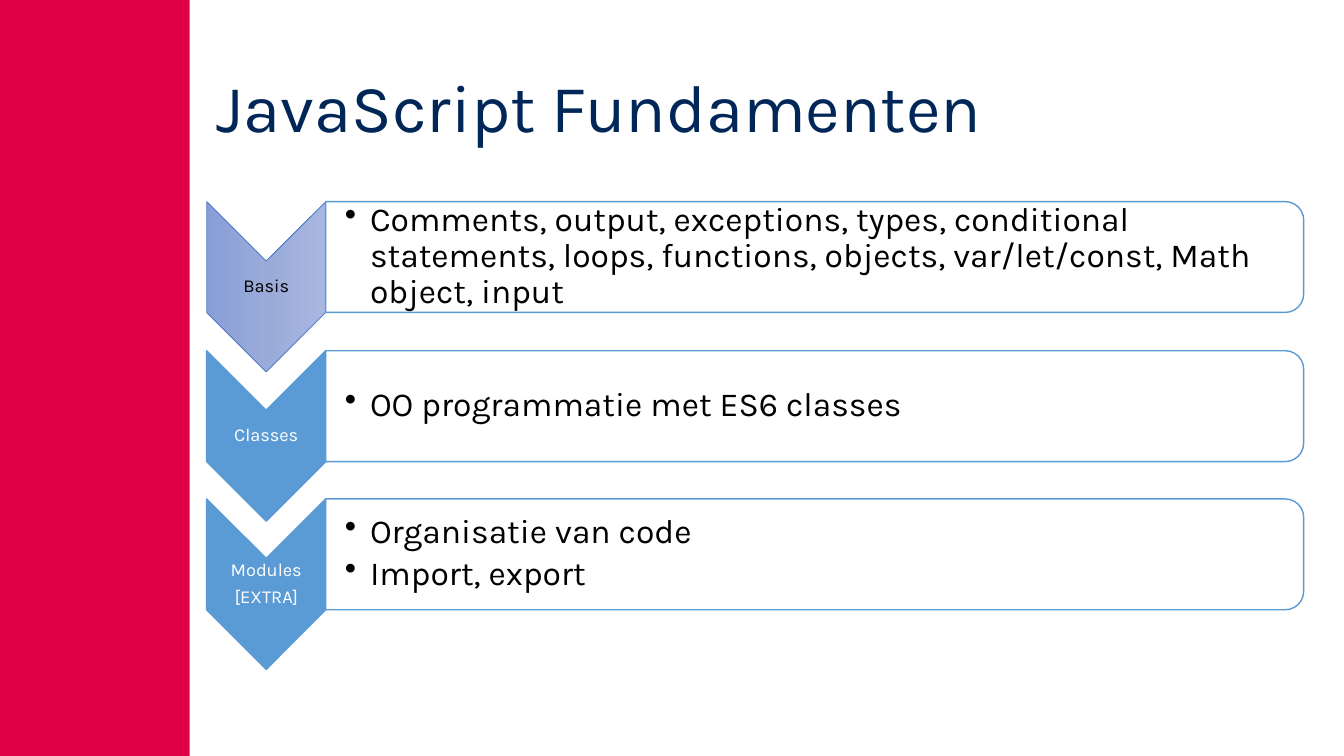
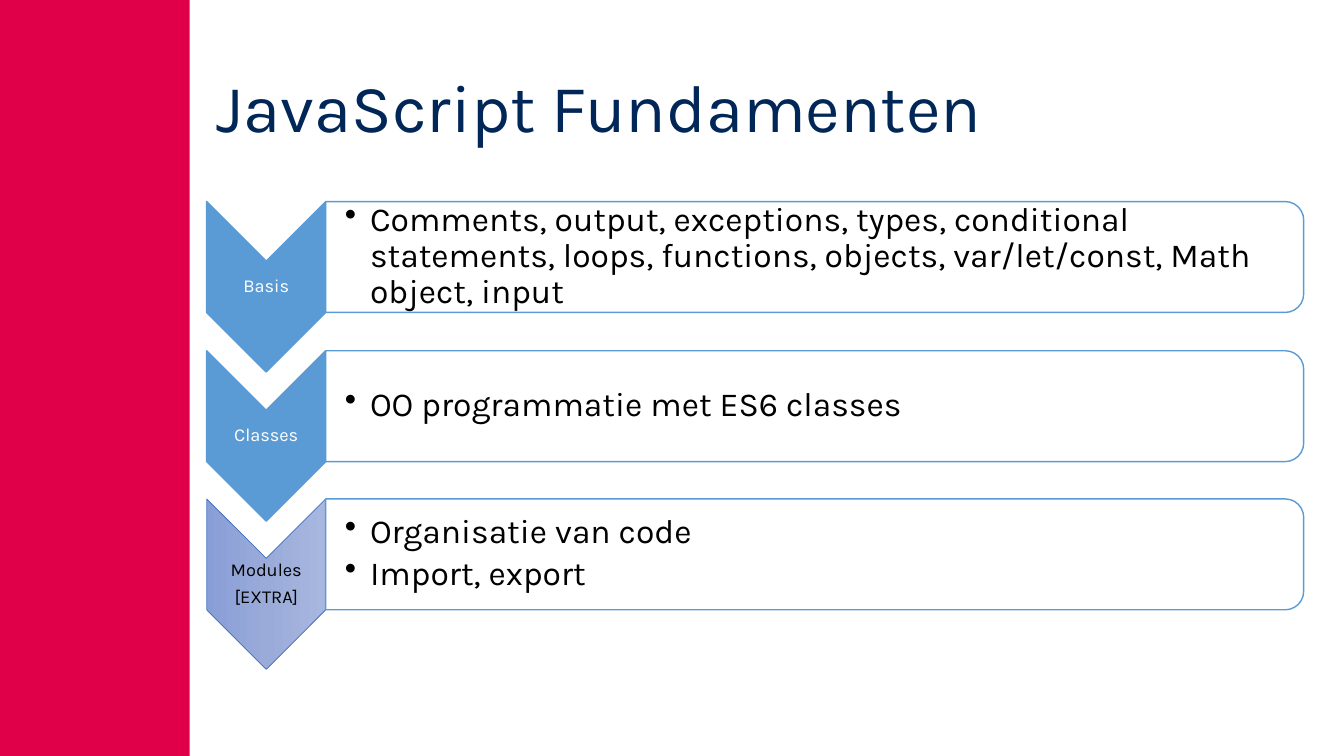
from copy import deepcopy

from lxml import etree
from pptx import Presentation
from pptx.dml.color import RGBColor
from pptx.enum.shapes import MSO_SHAPE
from pptx.enum.text import MSO_ANCHOR, PP_ALIGN
from pptx.oxml.ns import qn
from pptx.util import Pt

RECTANGLE, CHEVRON = MSO_SHAPE.RECTANGLE, MSO_SHAPE.CHEVRON
PANEL = MSO_SHAPE.ROUND_2_SAME_RECTANGLE
LEFT, CENTER, MIDDLE = PP_ALIGN.LEFT, PP_ALIGN.CENTER, MSO_ANCHOR.MIDDLE

# Content
TITLE = "JavaScript Fundamenten"
TOPICS = [
    (["Basis"], ["Comments, output, exceptions, types, conditional statements, "
                 "loops, functions, objects, var/let/const, Math object, input"]),
    (["Classes"], ["OO programmatie met ES6 classes"]),
    (["Modules", "[EXTRA]"], ["Organisatie van code", "Import, export"]),
]
HIGHLIGHTED = [0, 2]  # the topic that stands out on each slide

# Shared look; 100 px to the inch
SCALE = 9144
SLIDE_SIZE = (1333, 750)
BAND_BOX = (0, 0, 188, 750)
TITLE_BOX = (205, 40, 1088, 140)
ROWS_TOP, ROW_PITCH = 200, 147.5
CHEVRON_LEFT, CHEVRON_WIDTH, CHEVRON_HEIGHT = 205, 118, 169
PANEL_LEFT, PANEL_WIDTH, PANEL_HEIGHT = 323, 970, 110
BULLET_INDENT = 25

FONT = "Karla"
RED, NAVY, BLUE, WHITE, BLACK = "E00049", "002757", "5B9BD5", "FFFFFF", "000000"
HIGHLIGHT_LINE = "4472C4"
HIGHLIGHT_STOPS = [(0, "A8B7DF"), (0.5, "9AABD9"), (1, "889ED7")]

TITLE_STYLE = {"size": 48, "color": NAVY, "align": LEFT, "after": 0}
LABEL_STYLE = {"size": 13, "align": CENTER, "after": 5}
DETAIL_STYLE = {"size": 24, "color": BLACK, "align": LEFT, "after": 4}


def px(length):
    return round(length * SCALE)


def rgb(value):
    return RGBColor.from_string(value)


def assign(target, values):
    for name, value in values.items():
        setattr(target, name, value)


def write(frame, lines, style, insets=None, bulleted=False):
    assign(frame, {"word_wrap": True, "vertical_anchor": MIDDLE})
    if insets:
        sides = ("left", "top", "right", "bottom")
        assign(frame, {f"margin_{side}": px(inset) for side, inset in zip(sides, insets)})
    for index, line in enumerate(lines):
        para = frame.add_paragraph() if index else frame.paragraphs[0]
        assign(para, {"alignment": style["align"], "line_spacing": 0.9,
                      "space_before": Pt(0), "space_after": Pt(style["after"])})
        span = para.add_run()
        span.text = line
        assign(span.font, {"name": FONT, "size": Pt(style["size"])})
        span.font.color.rgb = rgb(style["color"])
        if bulleted:
            properties = para._p.get_or_add_pPr()
            properties.set("marL", str(px(BULLET_INDENT)))
            properties.set("indent", str(-px(BULLET_INDENT)))
            etree.SubElement(properties, qn("a:buChar")).set("char", "•")


def add_box(shapes, kind, box, fill, line=None, weight=1):
    shape = shapes.add_shape(kind, *map(px, box))
    shape.shadow.inherit = False
    shape.fill.solid()
    shape.fill.fore_color.rgb = rgb(fill)
    if line:
        shape.line.color.rgb = rgb(line)
        shape.line.width = Pt(weight)
    else:
        shape.line.fill.background()
    return shape


def add_turned(shapes, kind, box, fill, line, weight=1):
    """Add a shape that fills box once it is turned a quarter clockwise."""
    left, top, width, height = box
    shift = (width - height) / 2
    shape = add_box(shapes, kind, (left + shift, top - shift, height, width),
                    fill, line, weight)
    shape.rotation = 90
    return shape


def add_text(shapes, box, *args, **options):
    write(shapes.add_textbox(*map(px, box)).text_frame, *args, **options)


def shade(shape):
    shape.fill.gradient()
    shape.fill.gradient_angle = 270
    stop_list = shape.element.find(".//" + qn("a:gsLst"))
    stop_list.insert(1, deepcopy(stop_list[0]))
    for stop, (position, color) in zip(shape.fill.gradient_stops, HIGHLIGHT_STOPS):
        stop.position = position
        stop.color.rgb = rgb(color)


def add_topic(shapes, top, labels, details, highlighted):
    # Chevron with its label
    chevron = add_turned(shapes, CHEVRON,
                         (CHEVRON_LEFT, top, CHEVRON_WIDTH, CHEVRON_HEIGHT), BLUE,
                         HIGHLIGHT_LINE if highlighted else BLUE,
                         0.5 if highlighted else 1)
    if highlighted:
        shade(chevron)
    label_style = {**LABEL_STYLE, "color": BLACK if highlighted else WHITE}
    add_text(shapes, (CHEVRON_LEFT, top + 59, CHEVRON_WIDTH, 51),
             labels, label_style, insets=(1, 1, 1, 1))

    # Panel with its bullets
    panel = add_turned(shapes, PANEL, (PANEL_LEFT, top, PANEL_WIDTH, PANEL_HEIGHT),
                       WHITE, BLUE)
    fill_color = panel.element.spPr.find(qn("a:solidFill"))[0]
    etree.SubElement(fill_color, qn("a:alpha")).set("val", "90000")
    add_text(shapes, (PANEL_LEFT, top + 5, PANEL_WIDTH - 5, PANEL_HEIGHT - 11),
             details, DETAIL_STYLE, insets=(19, 2, 2, 2), bulleted=True)


def add_page(deck, layout, highlight):
    page = deck.slides.add_slide(layout)
    write(page.shapes.title.text_frame, [TITLE], TITLE_STYLE)
    diagram = page.shapes.add_group_shape()
    for index, (labels, details) in enumerate(TOPICS):
        top = ROWS_TOP + round(index * ROW_PITCH)
        add_topic(diagram.shapes, top, labels, details, index == highlight)
    return page


def main():
    deck = Presentation()
    deck.slide_width, deck.slide_height = map(px, SLIDE_SIZE)
    layout = deck.slide_layouts[5]
    title_box = dict(zip(("left", "top", "width", "height"), map(px, TITLE_BOX)))
    assign(layout.placeholders[0], title_box)
    pages = [add_page(deck, layout, highlight) for highlight in HIGHLIGHTED]

    # The side band belongs to the layout, behind everything else
    band = add_box(pages[0].shapes, RECTANGLE, BAND_BOX, RED)
    band.element.nvSpPr.cNvPr.set("id", "50")
    layout.shapes.element.insert(2, band.element)
    deck.save("out.pptx")


if __name__ == "__main__":
    main()
